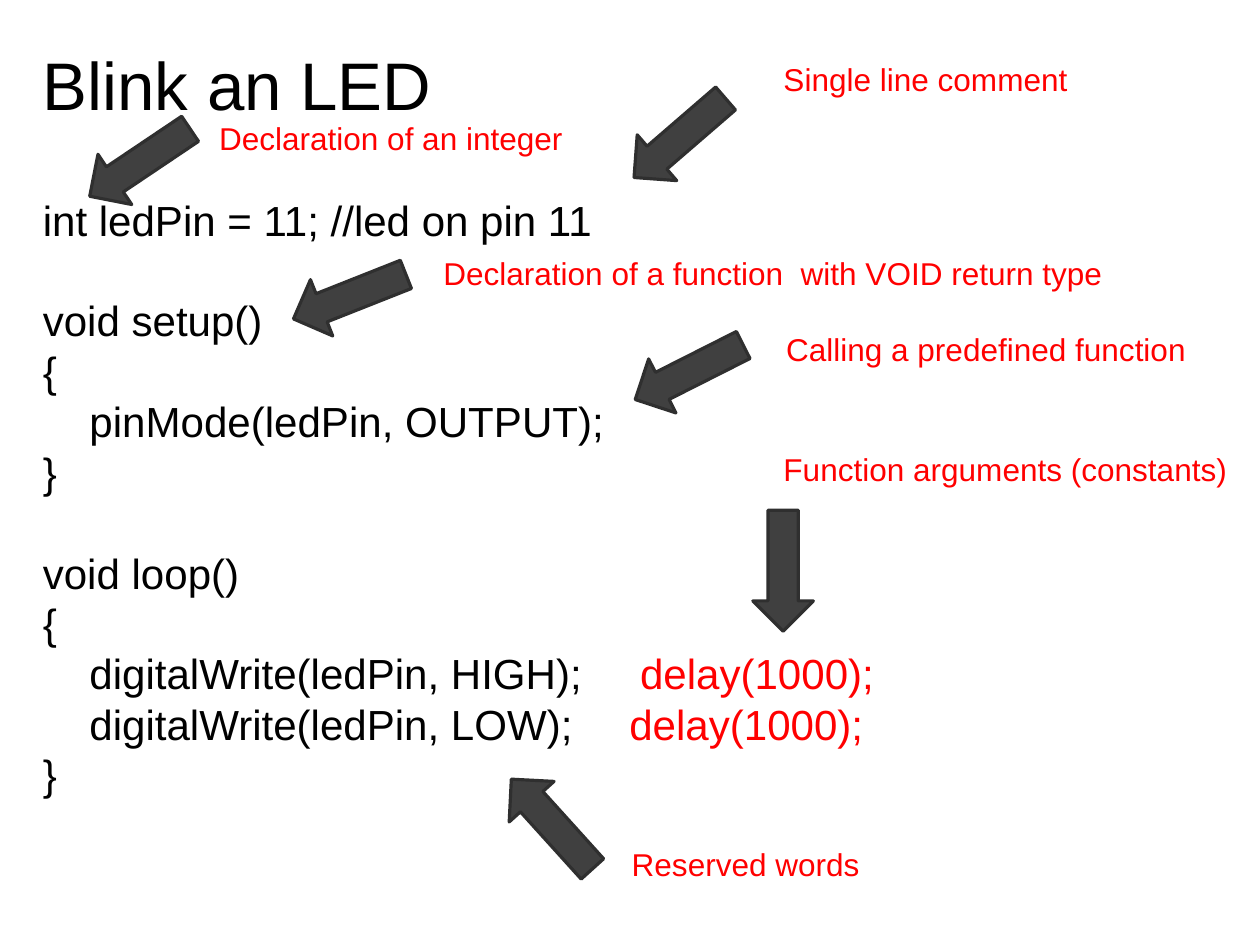
"""Build the annotated Blink an LED code slide."""
from dataclasses import dataclass

import lxml.etree
import pptx
import pptx.dml.color
import pptx.enum.shapes
import pptx.oxml.ns
import pptx.slide
import pptx.text.text
import pptx.util

BLACK = pptx.dml.color.RGBColor(0x00, 0x00, 0x00)
RED = pptx.dml.color.RGBColor(0xFF, 0x00, 0x00)
GREY = pptx.dml.color.RGBColor(0x40, 0x40, 0x40)
EDGE = pptx.dml.color.RGBColor(0x2F, 0x2F, 0x2F)
FONT = "Arial"
WIDE, HIGH = pptx.util.Inches(11.11), pptx.util.Inches(8.33)
COLS, ROWS = 100, 75
INDENT = 3.7
ARROW = (4.8, 9.6)


@dataclass(frozen=True)
class Line:
    code: str
    depth: int = 0
    gap: bool = False
    delay: str = ""
    stop: float = 0


@dataclass(frozen=True)
class Note:
    text: str
    left: float
    top: float
    width: float
    mid: tuple[float, float]
    turn: float


CODE = [
    Line("int ledPin = 11; //led on pin 11"),
    Line("void setup()", gap=True),
    Line("{"),
    Line("pinMode(ledPin, OUTPUT);", 1),
    Line("}"),
    Line("void loop()", gap=True),
    Line("{"),
    Line("digitalWrite(ledPin, HIGH);", 1, delay="delay(1000);", stop=47.4),
    Line("digitalWrite(ledPin, LOW);", 1, delay="delay(1000);", stop=46.55),
    Line("}"),
]
NOTES = [
    Note("Declaration of an integer", 16.5, 9, 29.3, (11.1, 12.9), 56.1),
    Note("Declaration of a function  with VOID return type",
         34.3, 19.7, 54.5, (27.75, 23.55), 68.4),
    Note("Calling a predefined function", 61.5, 25.75, 33.8, (54.7, 29.55), 63.2),
    Note("Function arguments (constants)", 61.3, 35.3, 37.3, (62.15, 45.3), 0),
    Note("Reserved words", 49.25, 66.6, 20.1, (43.8, 65.4), 137.9),
    Note("Single line comment", 61.3, 4.3, 24.6, (53.95, 10.95), 49.2),
]


def col(num: float) -> int:
    """Turn grid columns into a length."""
    return round(WIDE * num / COLS)


def row(num: float) -> int:
    """Turn grid rows into a length."""
    return round(HIGH * num / ROWS)


def add_box(slide: pptx.slide.Slide, left: float, top: float, width: float,
            height: float, inset: float | None = None) -> pptx.text.text.TextFrame:
    """Add a text box and return its frame."""
    box = slide.shapes.add_textbox(col(left), row(top), col(width), row(height))
    frame = box.text_frame
    if inset is not None:
        frame.word_wrap = True
        frame.margin_left = frame.margin_right = col(inset)
        frame.margin_top = frame.margin_bottom = row(inset)
    return frame


def set_font(para: pptx.text.text._Paragraph, size: float,
             color: pptx.dml.color.RGBColor) -> None:
    """Set the font of a paragraph."""
    para.font.name = FONT
    para.font.size = pptx.util.Pt(size)
    para.font.color.rgb = color


def add_tabs(para: pptx.text.text._Paragraph, stops: list[float]) -> None:
    """Give a paragraph left tab stops."""
    name = pptx.oxml.ns.qn
    tabs = lxml.etree.SubElement(para._p.get_or_add_pPr(), name("a:tabLst"))
    for stop in stops:
        lxml.etree.SubElement(tabs, name("a:tab"), pos=str(col(stop)), algn="l")


def add_line(para: pptx.text.text._Paragraph, line: Line) -> None:
    """Write one line of code."""
    para.line_spacing = pptx.util.Pt(32)
    para.space_before = pptx.util.Pt(32 if line.gap else 0)
    if line.depth:
        add_tabs(para, [INDENT] + ([line.stop] if line.delay else []))
    set_font(para, 26.7, BLACK)
    para.add_run().text = "\t" * line.depth + line.code
    if line.delay:
        run = para.add_run()
        run.text = "\t" + line.delay
        run.font.color.rgb = RED


def add_note(slide: pptx.slide.Slide, note: Note) -> None:
    """Draw a red label and its arrow."""
    wide, high = ARROW
    across, down = note.mid
    arrow = slide.shapes.add_shape(
        pptx.enum.shapes.MSO_SHAPE.DOWN_ARROW, col(across - wide / 2),
        row(down - high / 2), col(wide), row(high))
    arrow.rotation = note.turn
    arrow.shadow.inherit = False
    arrow.fill.solid()
    arrow.fill.fore_color.rgb = GREY
    arrow.line.color.rgb = EDGE
    arrow.line.width = pptx.util.Pt(2)
    frame = add_box(slide, note.left, note.top, note.width, 4)
    frame.word_wrap = False
    para = frame.paragraphs[0]
    para.text = note.text
    set_font(para, 20, RED)


def main() -> None:
    """Build and save the deck."""
    deck = pptx.Presentation()
    deck.slide_width, deck.slide_height = WIDE, HIGH
    slide = deck.slides.add_slide(deck.slide_layouts[6])
    title = add_box(slide, 3, 3, 94.8, 9.7, 0.4).paragraphs[0]
    title.text = "Blink an LED"
    title.line_spacing = pptx.util.Pt(51.2)
    set_font(title, 42.7, BLACK)
    body = add_box(slide, 3, 15, 94.7, 59.1, 0.4)
    for num, line in enumerate(CODE):
        add_line(body.add_paragraph() if num else body.paragraphs[0], line)
    for note in NOTES:
        add_note(slide, note)
    deck.save("out.pptx")


main()
